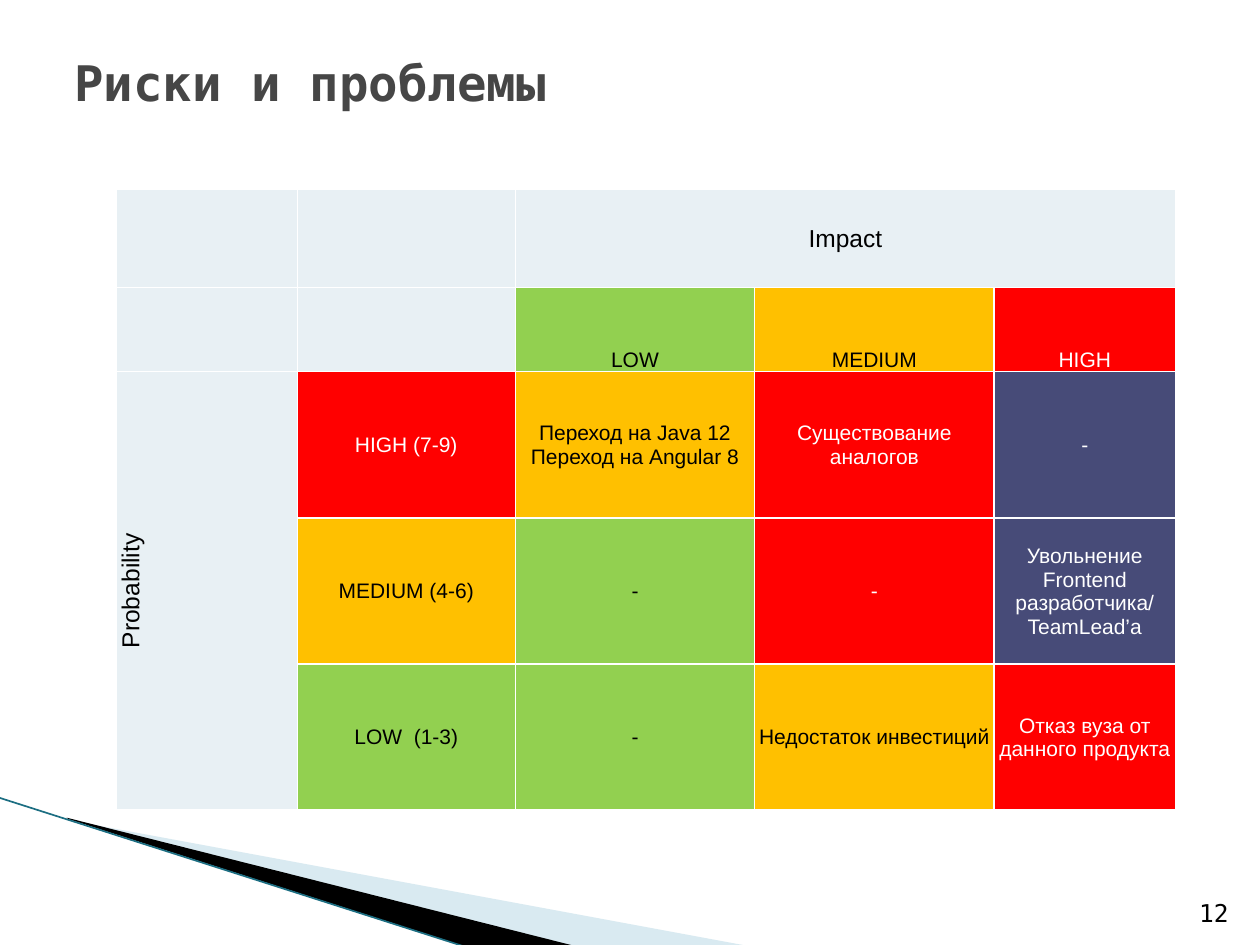
from lxml import etree
from pptx import Presentation
from pptx import util as u
from pptx.dml.color import RGBColor
from pptx.enum import shapes, text
from pptx.oxml import ns

SANS, MONO = "Arial", "DejaVu Sans Mono"
BLACK, WHITE = "000000", "FFFFFF"
PALE, GREEN, AMBER, RED, NAVY = "E8F0F4", "92D050", "FFC000", "FF0000", "474B78"
COLUMNS = (1.44, 1.73, 1.9, 1.9, 1.44)
ROWS = (0.78, 0.67, 1.16, 1.16, 1.16)
MATRIX = (
    (("", PALE), ("", PALE), ("Impact", PALE), ("", PALE), ("", PALE)),
    (("", PALE), ("", PALE), ("LOW", GREEN), ("MEDIUM", AMBER), ("HIGH", RED)),
    (("Probability", PALE), ("HIGH (7-9)", RED),
     ("Переход на Java 12\nПереход на Angular 8", AMBER),
     ("Существование аналогов", RED), ("-", NAVY)),
    (("", PALE), ("MEDIUM (4-6)", AMBER), ("-", GREEN), ("-", RED),
     ("Увольнение Frontend разработчика/\nTeamLead’а", NAVY)),
    (("", PALE), ("LOW  (1-3)", GREEN), ("-", GREEN),
     ("Недостаток инвестиций", AMBER), ("Отказ вуза от данного продукта", RED)),
)


def rgb(value):
    """Return the colour for a hex string."""
    return RGBColor.from_string(value)


def inches(*lengths):
    """Convert lengths in inches."""
    return [u.Inches(length) for length in lengths]


def format_text(frame, size, font, color, align, bold=False):
    """Format every paragraph of a text frame."""
    for paragraph in frame.paragraphs:
        paragraph.alignment = align
        paragraph.font.size = u.Pt(size)
        paragraph.font.name = font
        paragraph.font.bold = bold
        paragraph.font.color.rgb = rgb(color)


def add_wedge(slide, points, color, opacity=100):
    """Draw a filled wedge through points given in hundredths of an inch."""
    builder = slide.shapes.build_freeform(*points[0], scale=u.Inches(0.01))
    builder.add_line_segments(points[1:], close=True)
    wedge = builder.convert_to_shape()
    wedge.shadow.inherit = False
    wedge.line.fill.background()
    wedge.fill.solid()
    wedge.fill.fore_color.rgb = rgb(color)
    if opacity < 100:
        fill_color = wedge._element.spPr.find(".//" + ns.qn("a:srgbClr"))
        etree.SubElement(fill_color, ns.qn("a:alpha"), val=str(opacity * 1000))


def add_corner(slide):
    """Draw the wedges and the edge line in the bottom left corner."""
    add_wedge(slide, [(55, 651), (595, 751), (456, 751), (55, 650)], "A0CBDC", 40)
    add_wedge(slide, [(53, 649), (457, 751), (372, 752), (54, 650)], BLACK)
    edge = slide.shapes.add_connector(
        shapes.MSO_CONNECTOR.STRAIGHT, *inches(-0.01, 6.33, 3.71, 7.52))
    edge.line.color.rgb = rgb("1C6E82")
    edge.line.width = u.Pt(0.95)
    etree.SubElement(edge._element.spPr, ns.qn("a:effectLst"))


def add_title(slide, box):
    """Fill and place the title placeholder."""
    title = slide.shapes.title
    title.left, title.top, title.width, title.height = inches(*box)
    frame = title.text_frame
    frame.text = "Риски и проблемы"
    frame.vertical_anchor = text.MSO_ANCHOR.MIDDLE
    frame.margin_left, frame.margin_right = inches(0.09, 0.09)
    frame.margin_top, frame.margin_bottom = inches(0.04, 0.04)
    format_text(frame, 28, MONO, "464646", text.PP_ALIGN.LEFT, bold=True)


def add_borders(cell):
    """Give a cell thin white borders."""
    properties = cell._tc.get_or_add_tcPr()
    for side in ("lnL", "lnR", "lnT", "lnB"):
        line = etree.SubElement(properties, ns.qn("a:" + side), w=str(u.Pt(1)))
        fill = etree.SubElement(line, ns.qn("a:solidFill"))
        etree.SubElement(fill, ns.qn("a:srgbClr"), val=WHITE)


def fill_cell(cell, wording, color):
    """Write and format one cell of the risk matrix."""
    add_borders(cell)
    cell.fill.solid()
    cell.fill.fore_color.rgb = rgb(color)
    cell.margin_left, cell.margin_right = inches(0.01, 0.01)
    cell.margin_top, cell.margin_bottom = inches(0.01, 0)
    cell.vertical_anchor = text.MSO_ANCHOR.MIDDLE
    cell.text_frame.text = wording
    size = 14 if color == PALE else 12
    font_color = WHITE if color in (RED, NAVY) else BLACK
    format_text(cell.text_frame, size, SANS, font_color, text.PP_ALIGN.CENTER)


def add_matrix(slide, left, top):
    """Build the risk matrix from its top left corner."""
    frame = slide.shapes.add_table(
        len(ROWS), len(COLUMNS), *inches(left, top, sum(COLUMNS), sum(ROWS)))
    table = frame.table
    for column, width in zip(table.columns, COLUMNS):
        column.width = u.Inches(width)
    for row, height in zip(table.rows, ROWS):
        row.height = u.Inches(height)
    for i, entries in enumerate(MATRIX):
        for j, (wording, color) in enumerate(entries):
            fill_cell(table.cell(i, j), wording, color)
    table.cell(0, 2).merge(table.cell(0, 4))
    probability = table.cell(2, 0)
    probability.merge(table.cell(4, 0))
    probability._tc.get_or_add_tcPr().set("vert", "vert270")
    for cell in [probability] + [table.cell(1, j) for j in range(2, 5)]:
        cell.vertical_anchor = text.MSO_ANCHOR.BOTTOM


def add_page_number(slide, box):
    """Write the page number."""
    frame = slide.shapes.add_textbox(*inches(*box)).text_frame
    frame.word_wrap = True
    frame.text = "12"
    frame.vertical_anchor = text.MSO_ANCHOR.BOTTOM
    format_text(frame, 14, MONO, BLACK, text.PP_ALIGN.RIGHT)


def build():
    """Build and save the presentation."""
    presentation = Presentation()
    presentation.slide_width, presentation.slide_height = inches(10, 7.5)
    slide = presentation.slides.add_slide(presentation.slide_layouts[5])
    add_corner(slide)
    add_title(slide, (0.5, 0.3, 9, 0.7))
    add_matrix(slide, 0.92, 1.5)
    add_page_number(slide, (9.33, 7.01, 0.52, 0.4))
    presentation.save("out.pptx")


build()
